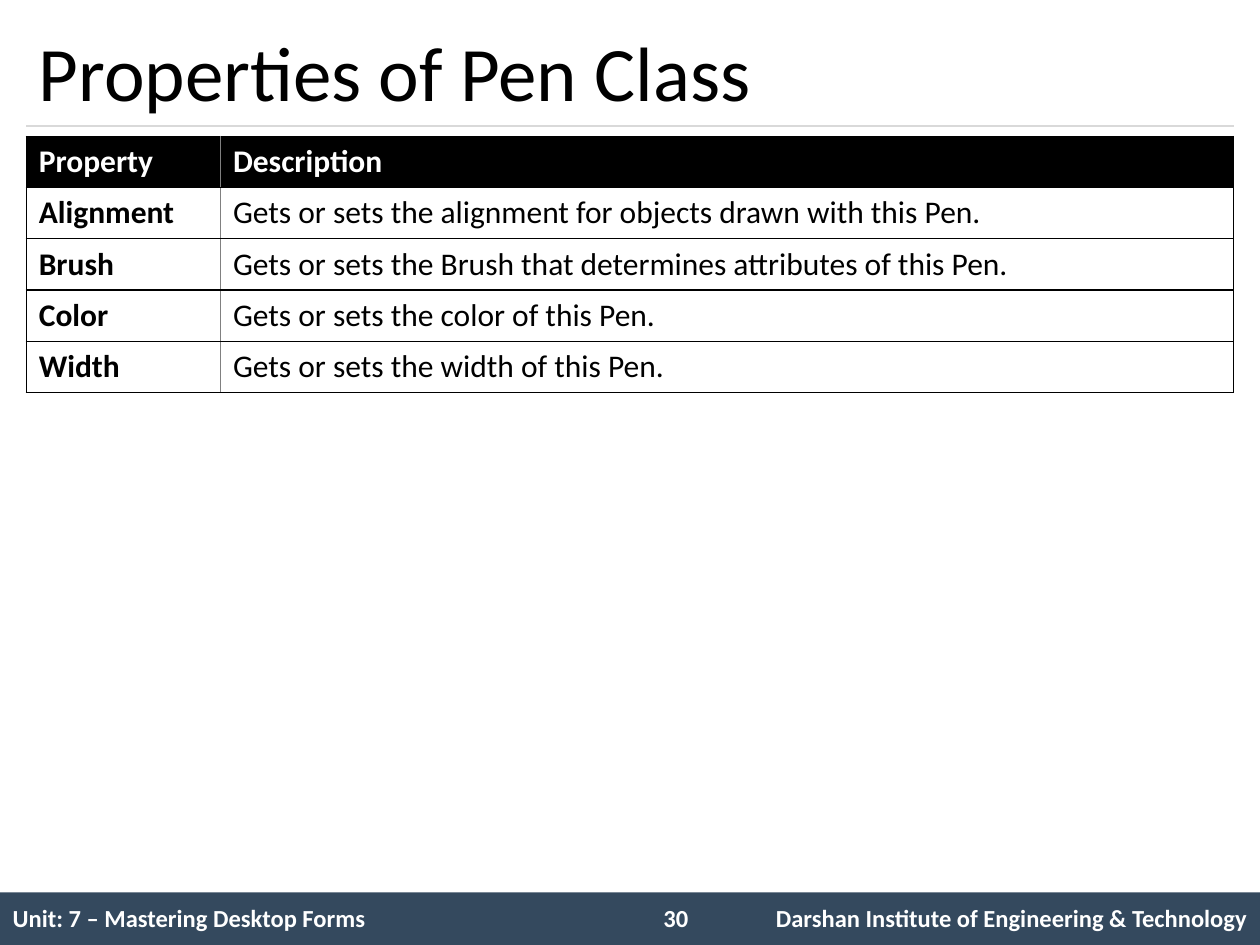
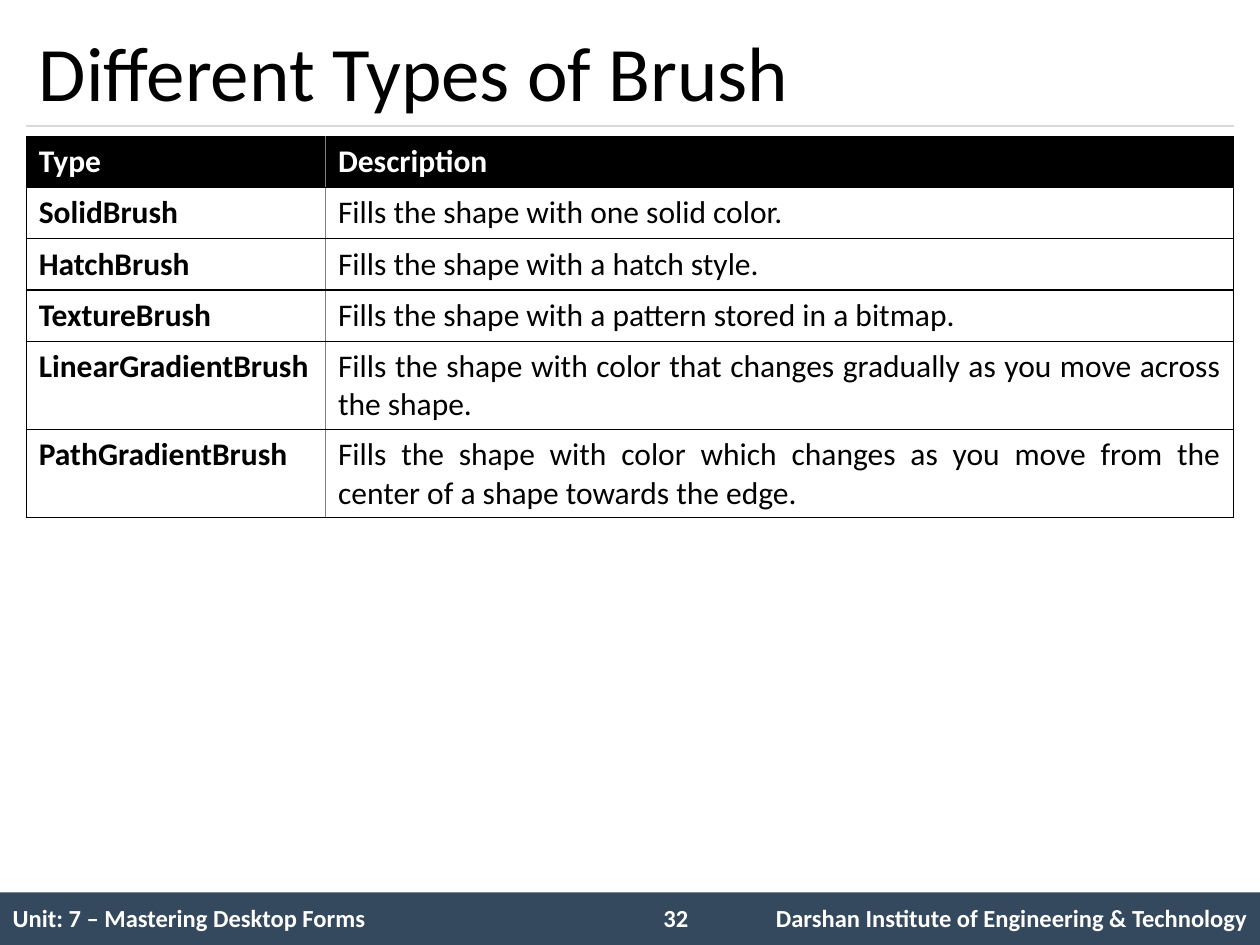
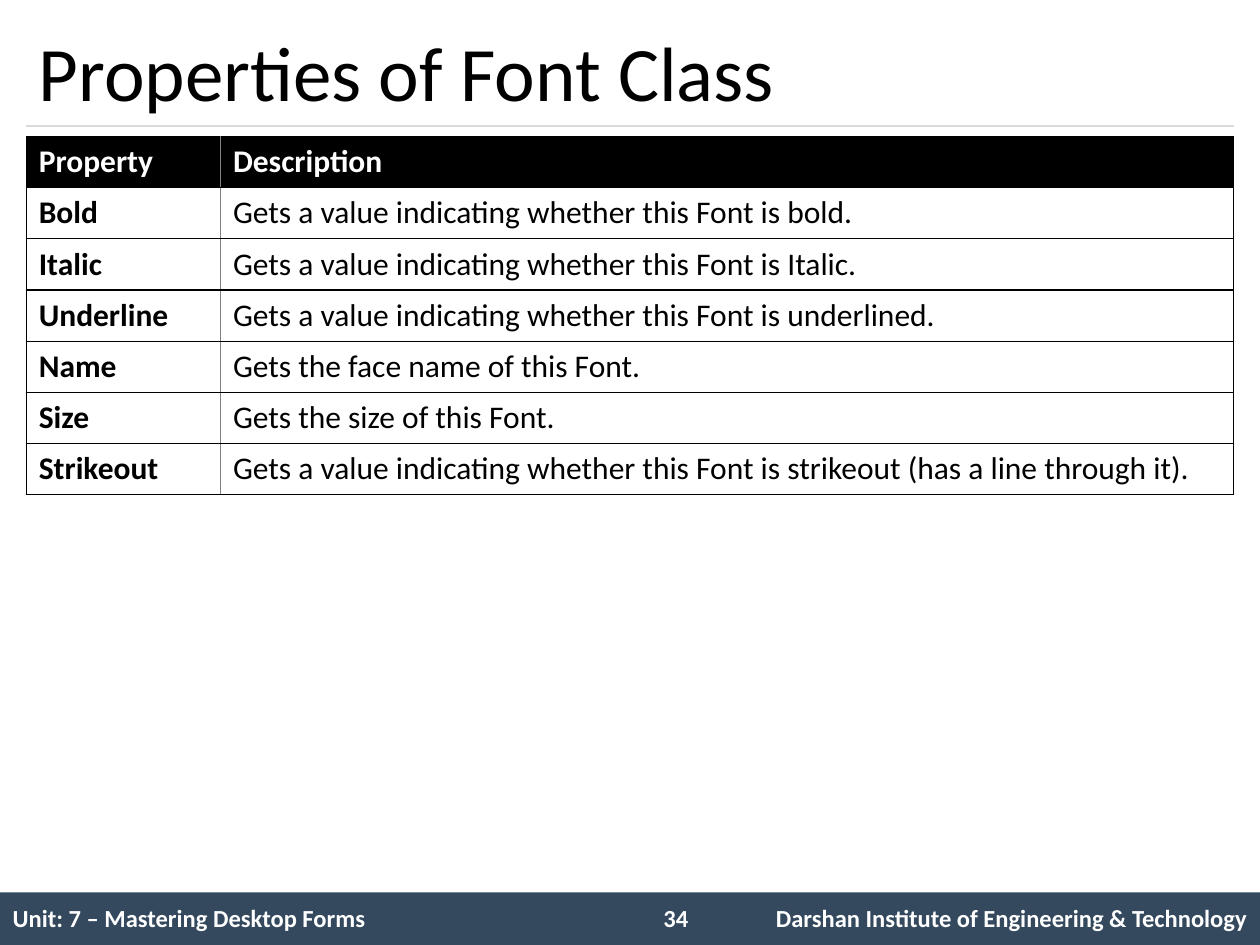
from dataclasses import dataclass

from lxml import etree
from pptx import Presentation
from pptx.dml.color import RGBColor
from pptx.enum import shapes, text
from pptx.oxml import ns
from pptx.util import Pt


@dataclass(frozen=True)
class Theme:
    font: str = "Calibri"
    ink: str = "000000"
    paper: str = "FFFFFF"
    band: str = "34495E"
    rule: str = "D9D9D9"
    divider: str = "808080"
    title_size: float = 44
    table_size: float = 18
    footer_size: float = 14


THEME = Theme()
WIDTH, HEIGHT = 720, 540
MARGIN = 15
CONTENT_WIDTH = WIDTH - 2 * MARGIN
ROW_HEIGHT = 29.25
TITLE_BOX = (MARGIN, 8.5, CONTENT_WIDTH, 63.5)
FOOTER_BOX = (0, 510, WIDTH, 30)
TABLE_LEFT, TABLE_TOP = MARGIN, 78
FOOTER_COLUMNS = (366, 48, 306)
FOOTER_LEFT = "Unit: 7 – Mastering Desktop Forms"
FOOTER_RIGHT = "Darshan Institute of Engineering & Technology"

SLIDES = [
    dict(
        title="Properties of Pen Class", number="30", name_width=111,
        rows=[
            ("Property", "Description"),
            ("Alignment", "Gets or sets the alignment for objects drawn with this Pen."),
            ("Brush", "Gets or sets the Brush that determines attributes of this Pen."),
            ("Color", "Gets or sets the color of this Pen."),
            ("Width", "Gets or sets the width of this Pen."),
        ],
    ),
    dict(
        title="Different Types of Brush", number="32", name_width=171,
        rows=[
            ("Type", "Description"),
            ("SolidBrush", "Fills the shape with one solid color."),
            ("HatchBrush", "Fills the shape with a hatch style."),
            ("TextureBrush", "Fills the shape with a pattern stored in a bitmap."),
            ("LinearGradientBrush",
             "Fills the shape with color that changes gradually as you move across the shape."),
            ("PathGradientBrush",
             "Fills the shape with color which changes as you move from the center of a shape "
             "towards the edge."),
        ],
    ),
    dict(
        title="Properties of Font Class", number="34", name_width=111,
        rows=[
            ("Property", "Description"),
            ("Bold", "Gets a value indicating whether this Font is bold."),
            ("Italic", "Gets a value indicating whether this Font is Italic."),
            ("Underline", "Gets a value indicating whether this Font is underlined."),
            ("Name", "Gets the face name of this Font."),
            ("Size", "Gets the size of this Font."),
            ("Strikeout",
             "Gets a value indicating whether this Font is strikeout (has a line through it)."),
        ],
    ),
]


def rgb(color):
    return RGBColor.from_string(color)


def points(*lengths):
    return [Pt(length) for length in lengths]


def write(frame, words, size, color=THEME.ink, bold=False, align=text.PP_ALIGN.LEFT):
    para = frame.paragraphs[0]
    para.alignment = align
    span = para.add_run()
    span.text = words
    span.font.name = THEME.font
    span.font.size = Pt(size)
    span.font.bold = bold
    span.font.color.rgb = rgb(color)


def set_borders(cell, left=None, right=None, top=None, bottom=None):
    """Give each side a (color, width) line, or no line for None."""
    properties = cell._tc.get_or_add_tcPr()
    sides = (("lnL", left), ("lnR", right), ("lnT", top), ("lnB", bottom))
    for index, (tag, border) in enumerate(sides):
        line = etree.Element(ns.qn(f"a:{tag}"))
        if border:
            color, width = border
            line.set("w", str(Pt(width)))
            fill = etree.SubElement(line, ns.qn("a:solidFill"))
            etree.SubElement(fill, ns.qn("a:srgbClr"), val=color)
        else:
            etree.SubElement(line, ns.qn("a:noFill"))
        properties.insert(index, line)


def add_grid(page, left, top, widths, row_count, row_height):
    frame = page.shapes.add_table(
        row_count, len(widths), *points(left, top, sum(widths), row_count * row_height))
    table = frame.table
    table.horz_banding = False
    for column, width in zip(table.columns, widths):
        column.width = Pt(width)
    for row in table.rows:
        row.height = Pt(row_height)
    return table


def add_title(page, words, box):
    left, top, width, height = box
    title = page.shapes.title
    title.left, title.top, title.width, title.height = points(*box)
    frame = title.text_frame
    frame.auto_size = text.MSO_AUTO_SIZE.NONE
    frame.vertical_anchor = text.MSO_ANCHOR.MIDDLE
    write(frame, words, THEME.title_size)

    rule = page.shapes.add_connector(
        shapes.MSO_CONNECTOR.STRAIGHT,
        *points(left, top + height, left + width, top + height))
    rule.line.color.rgb = rgb(THEME.rule)
    rule.line.width = Pt(0.75)
    etree.SubElement(rule._element.spPr, ns.qn("a:effectLst"))


def add_footer(page, number, box):
    left, top, width, height = box
    band = page.shapes.add_shape(shapes.MSO_SHAPE.RECTANGLE, *points(*box))
    band.shadow.inherit = False
    band.fill.solid()
    band.fill.fore_color.rgb = rgb(THEME.band)
    band.line.fill.background()

    style = dict(size=THEME.footer_size, color=THEME.paper, bold=True)
    table = add_grid(page, left, top, FOOTER_COLUMNS, 1, height)
    for cell in table.iter_cells():
        cell.fill.background()
        cell.vertical_anchor = text.MSO_ANCHOR.MIDDLE
        set_borders(cell)
    write(table.cell(0, 0).text_frame, FOOTER_LEFT, **style)
    write(table.cell(0, 2).text_frame, FOOTER_RIGHT, align=text.PP_ALIGN.RIGHT, **style)

    number_box = page.shapes.add_textbox(*points(left + 372, top + 2.75, 42, 24.5))
    number_box.text_frame.word_wrap = True
    write(number_box.text_frame, number, **style)


def add_description_table(page, rows, name_width, left, top, width):
    table = add_grid(page, left, top, (name_width, width - name_width), len(rows), ROW_HEIGHT)
    edge, divider = (THEME.ink, 0.75), (THEME.divider, 1)
    for row_index, row in enumerate(rows):
        heading = row_index == 0
        for column_index, words in enumerate(row):
            is_name = column_index == 0
            cell = table.cell(row_index, column_index)
            cell.fill.solid()
            cell.fill.fore_color.rgb = rgb(THEME.ink if heading else THEME.paper)
            set_borders(cell, left=edge if is_name else divider,
                        right=divider if is_name else edge, top=edge, bottom=edge)
            write(cell.text_frame, words, THEME.table_size,
                  color=THEME.paper if heading else THEME.ink,
                  bold=heading or is_name,
                  align=text.PP_ALIGN.LEFT if heading or is_name else text.PP_ALIGN.JUSTIFY)


def add_table_slide(deck, title, number, name_width, rows):
    page = deck.slides.add_slide(deck.slide_layouts.get_by_name("Title Only"))
    add_footer(page, number, FOOTER_BOX)
    add_title(page, title, TITLE_BOX)
    add_description_table(page, rows, name_width, TABLE_LEFT, TABLE_TOP, CONTENT_WIDTH)


def main():
    deck = Presentation()
    deck.slide_width, deck.slide_height = points(WIDTH, HEIGHT)
    for content in SLIDES:
        add_table_slide(deck, **content)
    deck.save("out.pptx")


if __name__ == "__main__":
    main()
